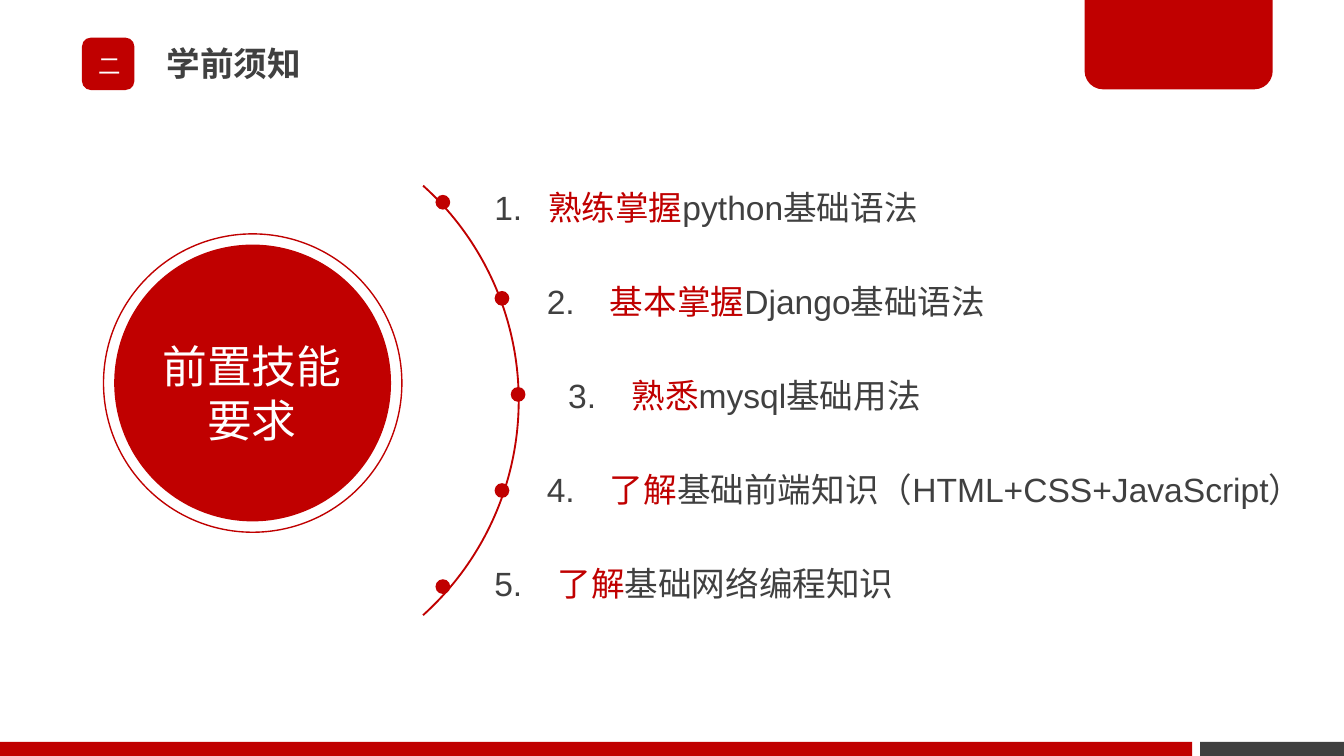
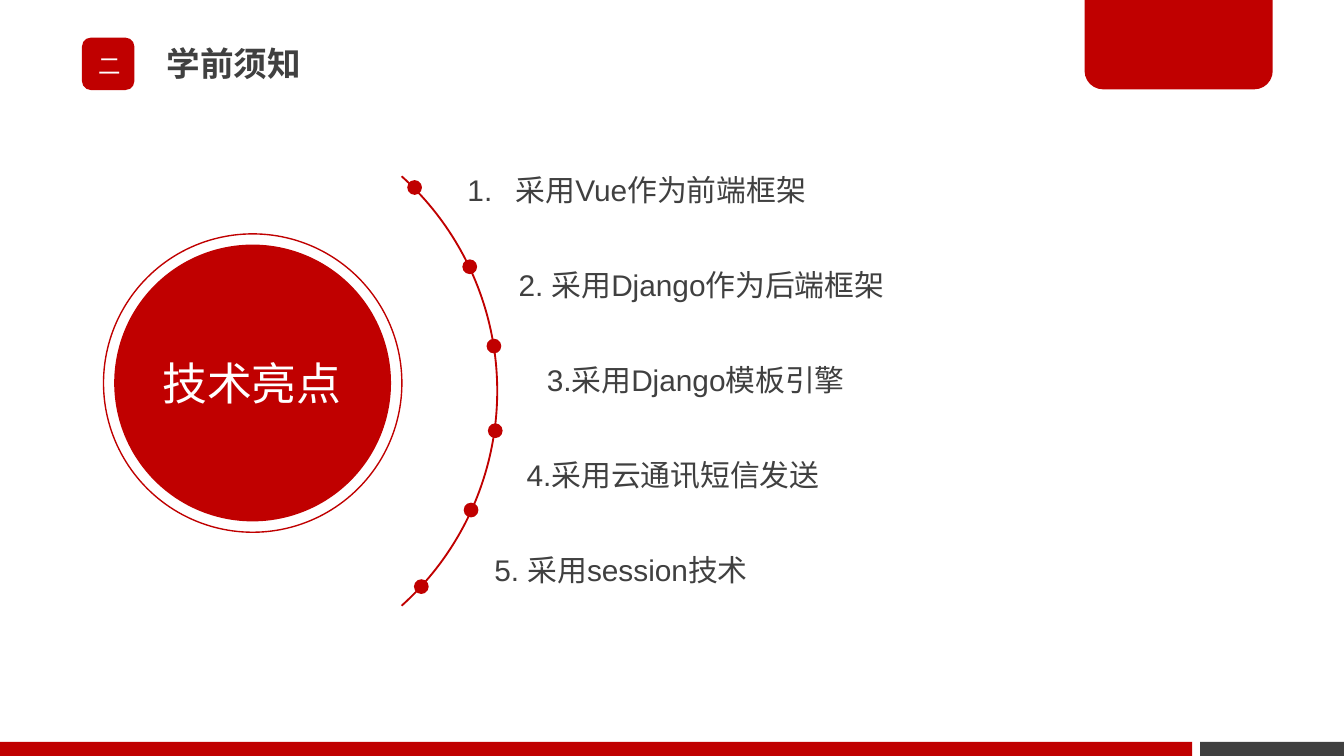
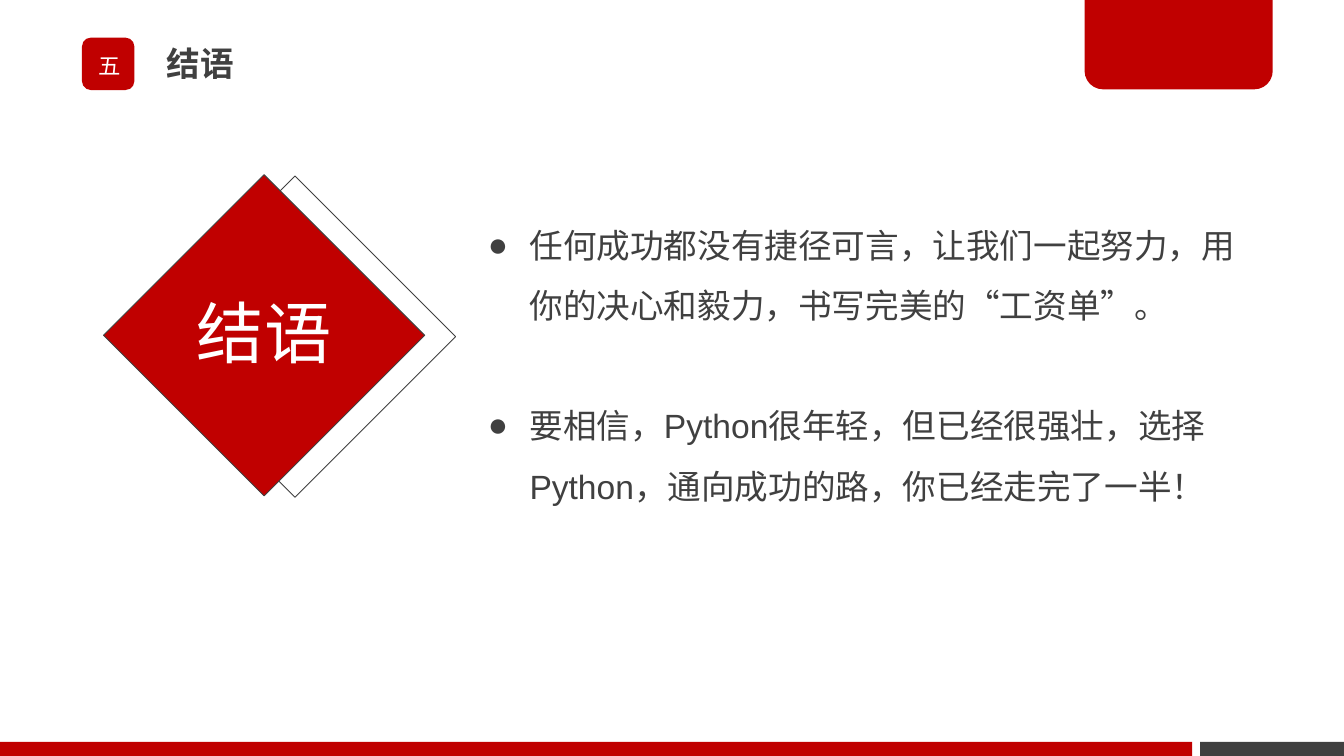
import collections

import lxml.etree
import pptx
import pptx.dml.color
import pptx.enum.shapes
import pptx.enum.text
import pptx.oxml.ns
import pptx.util

COLORS = {"red": "C00000", "dark": "404040", "white": "FFFFFF"}
FONT = "Arial"
SLIDE_WIDTH = pptx.util.Inches(10)
SLIDE_HEIGHT = pptx.util.Inches(5.625)
CELL = SLIDE_WIDTH / 100
LAYOUT_CONTENT, LAYOUT_TITLE = 1, 5
ARC_DEGREES = 48
ARC_UNIT = 0.6
DOT = 1.1
TIGHT = (0.8, 0.4)
ROOMY = (1, 0.5)

KIND = pptx.enum.shapes.MSO_SHAPE
ALIGN = pptx.enum.text.PP_ALIGN
ANCHOR = pptx.enum.text.MSO_ANCHOR

Item = collections.namedtuple("Item", "left number tab strong text")


class Box(collections.namedtuple("Box", "left top width height")):
    """A region measured in square cells, 100 to the slide width."""

    def inner(self, left, top, width, height):
        """Return a region placed relative to this one."""
        return Box(self.left + left, self.top + top, width, height)

    def lengths(self):
        """Return the four lengths of the region."""
        return [pptx.util.Emu(round(cells * CELL)) for cells in self]


def rgb(name):
    """Look up a colour of the deck."""
    return pptx.dml.color.RGBColor.from_string(COLORS[name])


def add_figure(page, kind, box, fill=None, line=None, weight=0.75):
    """Add a preset shape with a plain fill and line."""
    shape = page.shapes.add_shape(kind, *box.lengths())
    shape.shadow.inherit = False
    if fill:
        shape.fill.solid()
        shape.fill.fore_color.rgb = rgb(fill)
    else:
        shape.fill.background()
    if line:
        shape.line.color.rgb = rgb(line)
        shape.line.width = pptx.util.Pt(weight)
    else:
        shape.line.fill.background()
    return shape


def prepare_frame(shape, insets, anchor=ANCHOR.TOP, wrap=True):
    """Set the insets, anchor and wrapping of a text frame."""
    frame = shape.text_frame
    frame.auto_size = pptx.enum.text.MSO_AUTO_SIZE.NONE
    frame.word_wrap = wrap
    frame.vertical_anchor = anchor
    side, edge = (pptx.util.Emu(round(inset * CELL)) for inset in insets)
    frame.margin_left = frame.margin_right = side
    frame.margin_top = frame.margin_bottom = edge
    return frame


def format_para(para, size, color, align=ALIGN.LEFT, spacing=1.0, bold=False):
    """Format a whole paragraph."""
    para.alignment = align
    para.line_spacing = spacing
    para.font.name = FONT
    para.font.size = pptx.util.Pt(size)
    para.font.bold = bold
    para.font.color.rgb = rgb(color)


def add_property(para, tag, **attributes):
    """Append an element to the properties of a paragraph."""
    properties = para._p.get_or_add_pPr()
    return lxml.etree.SubElement(properties, pptx.oxml.ns.qn(tag), attributes)


def add_tab(para, cells):
    """Give a paragraph one left tab stop."""
    stops = add_property(para, "a:tabLst")
    position = str(round(cells * CELL))
    lxml.etree.SubElement(stops, pptx.oxml.ns.qn("a:tab"), pos=position, algn="l")


def add_bullet(para, cells):
    """Give a paragraph a hanging dark bullet."""
    indent = round(cells * CELL)
    properties = para._p.get_or_add_pPr()
    properties.set("marL", str(indent))
    properties.set("indent", str(-indent))
    tint = add_property(para, "a:buClr")
    lxml.etree.SubElement(tint, pptx.oxml.ns.qn("a:srgbClr"), val=COLORS["dark"])
    add_property(para, "a:buFont", typeface=FONT)
    add_property(para, "a:buChar", char="●")


def move_placeholder(shape, box):
    """Move a placeholder to a region."""
    shape.left, shape.top, shape.width, shape.height = box.lengths()


def add_label(page, box, lines, size, insets=TIGHT, anchor=ANCHOR.MIDDLE, spacing=0.9, wrap=True):
    """Add centred white text."""
    shape = page.shapes.add_textbox(*box.lengths())
    frame = prepare_frame(shape, insets, anchor, wrap)
    frame.text = "\n".join(lines)
    for para in frame.paragraphs:
        format_para(para, size, "white", ALIGN.CENTER, spacing)


def add_bands(deck, page):
    """Put the corner tab and the bottom bands on the master."""
    corner = add_figure(page, KIND.ROUND_2_SAME_RECTANGLE, Box(80.7, -0.2, 14, 6.85), "red")
    corner.adjustments[0], corner.adjustments[1] = 0, 0.2
    bands = [
        add_figure(page, KIND.RECTANGLE, Box(89.3, 55.2, 10.7, 1.05), "dark"),
        add_figure(page, KIND.RECTANGLE, Box(0, 55.2, 88.7, 1.05), "red"),
    ]
    for number, shape in enumerate([corner, *bands], 101):
        shape.element.nvSpPr.cNvPr.set("id", str(number))
        deck.slide_master.element.cSld.spTree.append(shape.element)


def add_header(page, box, numeral, title):
    """Add the numbered badge and the slide title."""
    badge = add_figure(page, KIND.ROUNDED_RECTANGLE, box.inner(0.7, 2.4, 3.9, 3.9), "red")
    badge.adjustments[0] = 0.17
    add_label(page, box.inner(0, 1.5, 5.5, 6.2), [numeral], 12)
    move_placeholder(page.shapes.title, box.inner(6.2, 0, 58.9, 8.9))
    frame = prepare_frame(page.shapes.title, TIGHT, ANCHOR.MIDDLE)
    frame.text = title
    format_para(frame.paragraphs[0], 18, "dark", spacing=0.9, bold=True)


def add_disc(page, box, lines, label_top, label_height):
    """Add the ringed disc with its label."""
    add_figure(page, KIND.OVAL, box, line="red")
    add_figure(page, KIND.OVAL, box.inner(0.8, 0.8, 20.6, 20.6), "red")
    label = box.inner(3.4, label_top, 15.3, label_height)
    add_label(page, label, lines, 24, ROOMY, ANCHOR.TOP, 1.0, wrap=False)


def add_arc(page, box, dots):
    """Add the arc and the dots along it."""
    arc = add_figure(page, KIND.ARC, box, line="red", weight=1)
    arc.adjustments[0] = (360 - ARC_DEGREES) * ARC_UNIT
    arc.adjustments[1] = ARC_DEGREES * ARC_UNIT
    for left, top in dots:
        add_figure(page, KIND.OVAL, box.inner(left, top, DOT, DOT), "red")


def add_items(page, box, step, items, size, spacing):
    """Add the numbered items at equal steps."""
    for row, item in enumerate(items):
        region = box.inner(item.left, row * step, box.width, box.height)
        shape = page.shapes.add_textbox(*region.lengths())
        para = prepare_frame(shape, ROOMY).paragraphs[0]
        if item.tab:
            add_tab(para, item.tab)
        format_para(para, size, "dark", spacing=spacing)
        para.add_run().text = item.number + ("\t" if item.tab else "")
        if item.strong:
            span = para.add_run()
            span.text = item.strong
            span.font.color.rgb = rgb("red")
        para.add_run().text = item.text


def add_diamonds(page, box, text):
    """Add the two overlapping diamonds and their label."""
    for left, top, fill in [(2.3, 0.1, None), (0, 0, "red")]:
        diamond = add_figure(page, KIND.RECTANGLE, box.inner(left, top, 16.9, 16.9), fill, "dark", 0.5)
        diamond.rotation = 45
    add_label(page, box.inner(-12.5, 4.1, 41.9, 8.9), [text], 36)


def add_closing_list(page, box, lines):
    """Fill the body placeholder with bulleted paragraphs."""
    body = page.placeholders[1]
    move_placeholder(body, box)
    frame = prepare_frame(body, ROOMY)
    frame.text = "\n".join(lines)
    for row, para in enumerate(frame.paragraphs):
        para.space_before = pptx.util.Pt(32 if row else 0)
        add_bullet(para, 3.1)
        format_para(para, 18, "dark", spacing=1.5)


def add_page(deck, layout, numeral, title):
    """Add a slide with its header."""
    page = deck.slides.add_slide(deck.slide_layouts[layout])
    add_header(page, Box(5.4, 0.4, 65.1, 8.9), numeral, title)
    return page


def build_skills(deck):
    """Build the slide of required skills."""
    page = add_page(deck, LAYOUT_TITLE, "二", "学前须知")
    add_disc(page, Box(7.7, 17.4, 22.2, 22.2), ["前置技能", "要求"], 7.3, 9)
    lefts = [36.8, 41.2, 42.4, 41.2, 36.8]
    dots = [(left, 6.2 + 7.15 * row) for row, left in enumerate(lefts)]
    add_arc(page, Box(-4.4, 8.3, 43, 43), dots)
    items = [
        Item(0, "1.", 4, "熟练掌握", "python基础语法"),
        Item(3.9, "2.", 4.7, "基本掌握", "Django基础语法"),
        Item(5.5, "3.", 4.7, "熟悉", "mysql基础用法"),
        Item(3.9, "4.", 4.7, "了解", "基础前端知识（HTML+CSS+JavaScript）"),
        Item(0, "5.", 4.7, "了解", "基础网络编程知识"),
    ]
    add_items(page, Box(35.8, 11.9, 65.4, 5.5), 7, items, 18, 1.5)


def build_highlights(deck):
    """Build the slide of technical highlights."""
    page = add_page(deck, LAYOUT_TITLE, "二", "学前须知")
    add_disc(page, Box(7.7, 17.4, 22.2, 22.2), ["技术亮点"], 8.6, 5)
    dots = [(36.3, 5.8), (40.4, 11.7), (42.2, 17.6), (42.3, 23.9), (40.5, 29.8), (36.8, 35.5)]
    add_arc(page, Box(-6, 7.6, 43, 43), dots)
    items = [
        Item(0, "1.", 3.6, "", "采用Vue作为前端框架"),
        Item(3.8, "2. ", 0, "", "采用Django作为后端框架"),
        Item(5.9, "3.", 0, "", "采用Django模板引擎"),
        Item(4.4, "4.", 0, "", "采用云通讯短信发送"),
        Item(2, "5. ", 0, "", "采用session技术"),
    ]
    add_items(page, Box(33.8, 12.3, 76.1, 3.7), 7.07, items, 16, 1.0)


def build_closing(deck):
    """Build the closing slide."""
    page = add_page(deck, LAYOUT_CONTENT, "五", "结语")
    add_diamonds(page, Box(11.2, 16.5, 19.2, 17), "结语")
    lines = [
        "任何成功都没有捷径可言，让我们一起努力，用你的决心和毅力，书写完美的“工资单”。",
        "要相信，Python很年轻，但已经很强壮，选择Python，通向成功的路，你已经走完了一半！",
    ]
    add_closing_list(page, Box(35.3, 14.7, 59, 23.5), lines)


def main():
    """Build and save the deck."""
    deck = pptx.Presentation()
    deck.slide_width, deck.slide_height = SLIDE_WIDTH, SLIDE_HEIGHT
    build_skills(deck)
    build_highlights(deck)
    build_closing(deck)
    add_bands(deck, deck.slides[0])
    deck.save("out.pptx")


if __name__ == "__main__":
    main()
